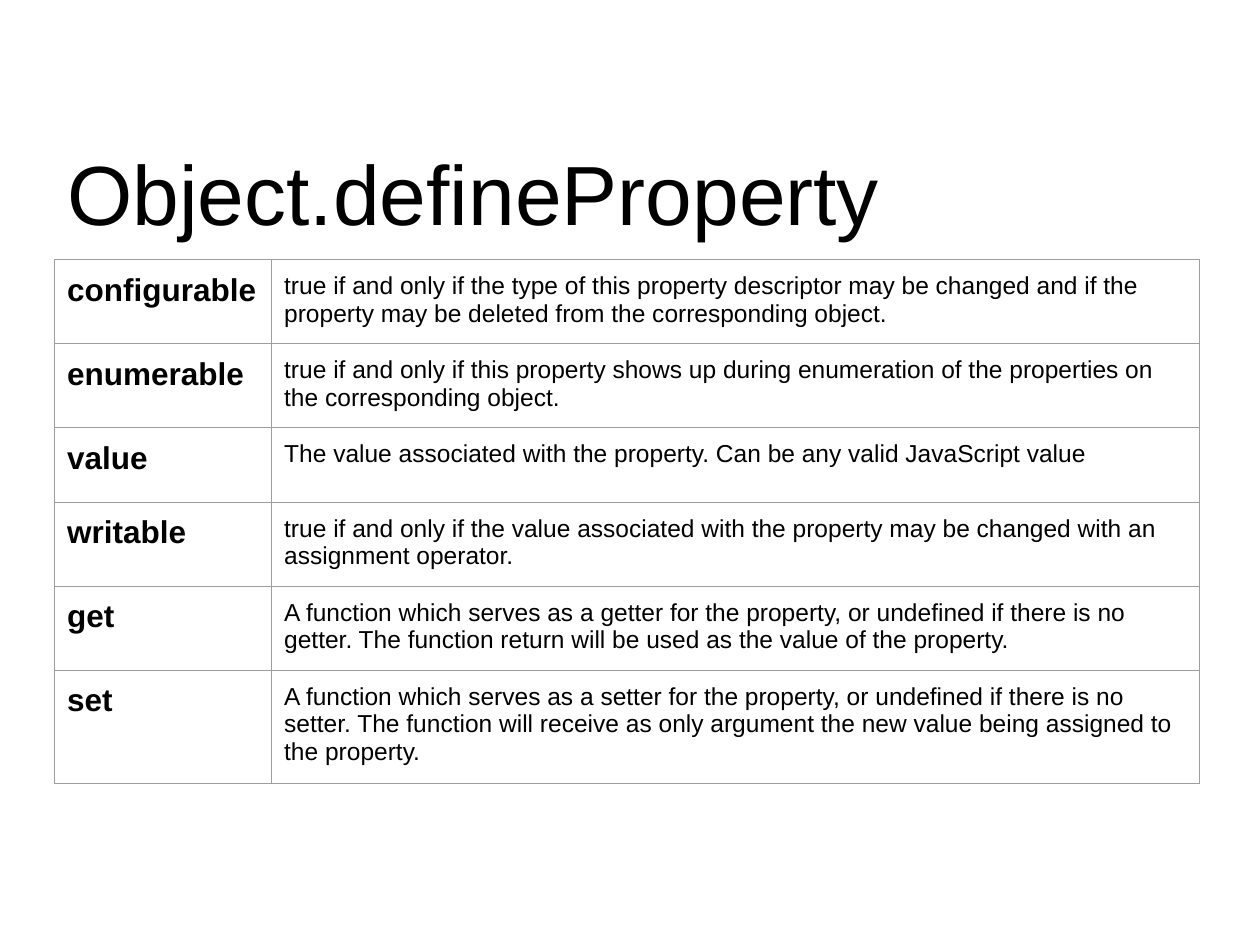
import lxml.etree
import pptx
import pptx.dml.color
import pptx.enum.text
import pptx.oxml.ns
import pptx.util

Inches = pptx.util.Inches
Pt = pptx.util.Pt
qn = pptx.oxml.ns.qn

HEADING = "Object.defineProperty"
DESCRIPTORS = [
    ("configurable", "true if and only if the type of this property descriptor may be changed and if the property may be deleted from the corresponding object."),
    ("enumerable", "true if and only if this property shows up during enumeration of the properties on the corresponding object."),
    ("value", "The value associated with the property. Can be any valid JavaScript value"),
    ("writable", "true if and only if the value associated with the property may be changed with an assignment operator."),
    ("get", "A function which serves as a getter for the property, or undefined if there is no getter. The function return will be used as the value of the property."),
    ("set", "A function which serves as a setter for the property, or undefined if there is no setter. The function will receive as only argument the new value being assigned to the property."),
]

BLACK = pptx.dml.color.RGBColor(0x00, 0x00, 0x00)
GRAY = pptx.dml.color.RGBColor(0x9E, 0x9E, 0x9E)
FONT = "Arial"
LEFT = Pt(31.2)
TABLE_TOP = Pt(148.5)
COLUMNS = (Pt(124), Pt(530))
ROWS = (Pt(48), Pt(48), Pt(42.5), Pt(48), Pt(48), Pt(65))
PADDING = Inches(0.1)
MARGINS = {f"margin_{side}": PADDING for side in ("left", "top", "right", "bottom")}
TITLE_FONT = {"name": FONT, "size": Pt(48), "bold": False}
COLUMN_FONTS = (
    {"name": FONT, "size": Pt(18), "bold": True},
    {"name": FONT, "size": Pt(14), "bold": False},
)


def assign(target, values):
    for name, value in values.items():
        setattr(target, name, value)


def write(frame, wording, font):
    paragraph = frame.paragraphs[0]
    paragraph.alignment = pptx.enum.text.PP_ALIGN.LEFT
    run = paragraph.add_run()
    run.text = wording
    assign(run.font, font)
    run.font.color.rgb = BLACK


def add_borders(cell):
    properties = cell._tc.get_or_add_tcPr()
    for position, side in enumerate(("lnL", "lnR", "lnT", "lnB")):
        border = lxml.etree.Element(qn(f"a:{side}"), w=str(Pt(0.75)))
        fill = lxml.etree.SubElement(border, qn("a:solidFill"))
        lxml.etree.SubElement(fill, qn("a:srgbClr"), val=str(GRAY))
        properties.insert(position, border)


def add_heading(slide):
    heading = slide.shapes.title
    assign(heading, {"left": LEFT, "top": Inches(1.02),
                     "width": Inches(9.29), "height": Inches(0.94)})
    assign(heading.text_frame, {
        **MARGINS,
        "word_wrap": True,
        "auto_size": pptx.enum.text.MSO_AUTO_SIZE.NONE,
        "vertical_anchor": pptx.enum.text.MSO_ANCHOR.TOP,
    })
    write(heading.text_frame, HEADING, TITLE_FONT)


def add_descriptors(slide):
    table = slide.shapes.add_table(
        len(ROWS), len(COLUMNS), LEFT, TABLE_TOP, sum(COLUMNS), sum(ROWS)).table
    assign(table, {"first_row": False, "horz_banding": False})
    for column, width in zip(table.columns, COLUMNS):
        column.width = width
    for row, height, descriptor in zip(table.rows, ROWS, DESCRIPTORS):
        row.height = height
        for cell, wording, font in zip(row.cells, descriptor, COLUMN_FONTS):
            assign(cell, MARGINS)
            cell.fill.background()
            add_borders(cell)
            write(cell.text_frame, wording, font)


def main():
    deck = pptx.Presentation()
    assign(deck, {"slide_width": Inches(10), "slide_height": Inches(7.5)})
    slide = deck.slides.add_slide(deck.slide_layouts[5])
    add_heading(slide)
    add_descriptors(slide)
    deck.save("out.pptx")


if __name__ == "__main__":
    main()
